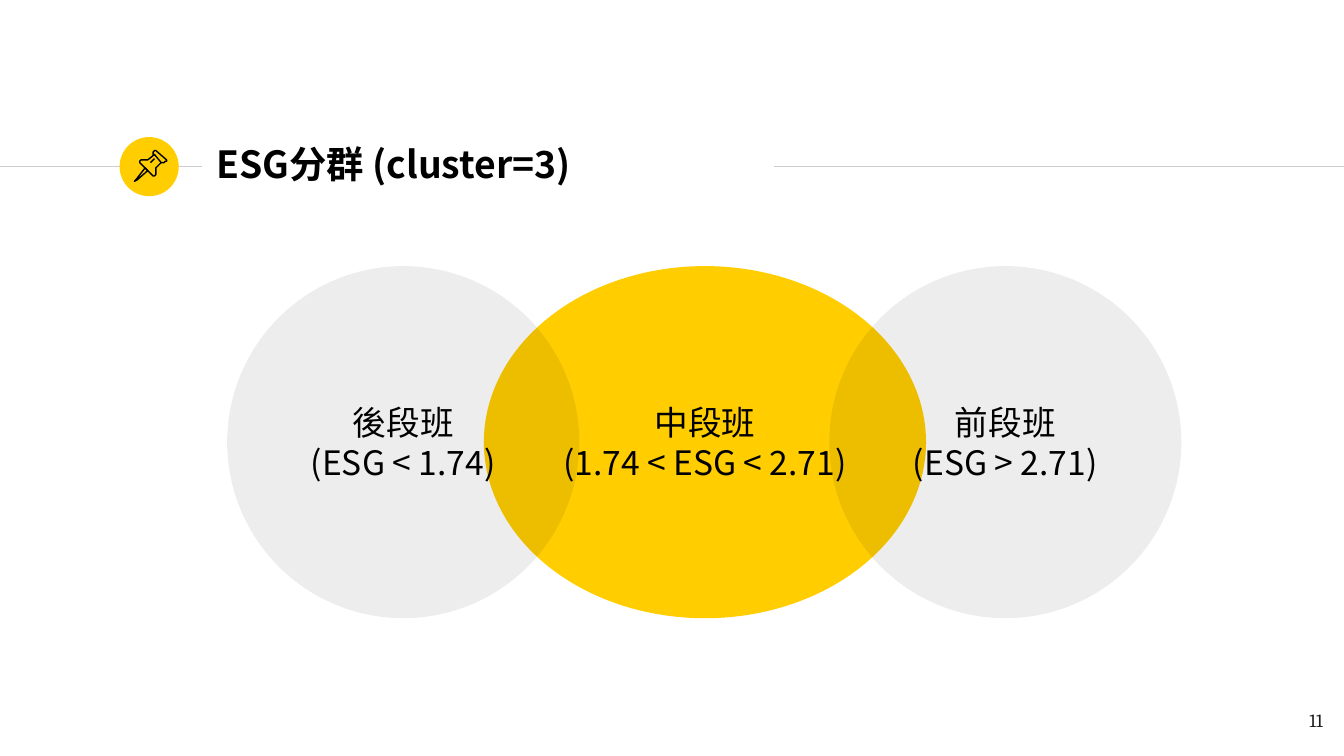
from dataclasses import dataclass

from lxml.etree import SubElement
from pptx import Presentation
from pptx.dml.color import RGBColor
from pptx.enum.shapes import MSO_CONNECTOR, MSO_SHAPE
from pptx.enum.text import MSO_ANCHOR as Anchor, PP_ALIGN as Align
from pptx.oxml.ns import qn
from pptx.util import Inches, Pt

CJK_FONT = "Noto Sans CJK TC"
YELLOW, BLACK, GREY = "FFCD00", "000000", "CCCCCC"
RULE_Y = 1.24
CLUSTER_TOP, CLUSTER_HEIGHT = 1.98, 2.62


@dataclass
class Cluster:
    name: str
    limits: str
    left: float
    width: float
    color: str
    opacity: int = 100


@dataclass
class Stroke:
    points: list[tuple[float, float]]
    closed: bool = False


CLUSTERS = [
    Cluster("中段班", "(1.74 < ESG < 2.71)", 3.6, 3.29, YELLOW),
    Cluster("後段班", "(ESG < 1.74)", 1.69, 2.62, BLACK, 7),
    Cluster("前段班", "(ESG > 2.71)", 6.17, 2.62, BLACK, 7),
]

PIN = [
    Stroke([(1.08, 1.25), (1.01, 1.34), (1, 1.35), (1.02, 1.34), (1.1, 1.27)], True),
    Stroke([(1.15, 1.15), (1.2, 1.21), (1.22, 1.21), (1.23, 1.2), (1.24, 1.2),
            (1.24, 1.19), (1.16, 1.12), (1.15, 1.12), (1.14, 1.13), (1.14, 1.15)], True),
    Stroke([(1.15, 1.15), (1.1, 1.19), (1.08, 1.19), (1.05, 1.19), (1.04, 1.2),
            (1.04, 1.21), (1.14, 1.31), (1.15, 1.31), (1.16, 1.3), (1.16, 1.25),
            (1.2, 1.21)]),
    Stroke([(1.12, 1.21), (1.15, 1.18)]),
]


def rgb(color: str) -> RGBColor:
    return RGBColor.from_string(color)


def write(shape, text: str, size: float, font: str = CJK_FONT, color: str = BLACK,
          bold: bool = False, align=Align.LEFT, anchor=Anchor.MIDDLE) -> None:
    frame = shape.text_frame
    frame.text = text
    frame.word_wrap = True
    frame.vertical_anchor = anchor
    frame.margin_left = frame.margin_right = Inches(0.1)
    frame.margin_top = frame.margin_bottom = Inches(0.1)
    for para in frame.paragraphs:
        para.alignment = align
        for span in para.runs:
            span.font.size = Pt(size)
            span.font.name = font
            span.font.bold = bold
            span.font.color.rgb = rgb(color)
            SubElement(span.font._element, qn("a:ea"), typeface=font)


def add_ellipse(page, left: float, top: float, width: float, height: float,
                color: str, opacity: int = 100):
    ellipse = page.shapes.add_shape(
        MSO_SHAPE.OVAL, Inches(left), Inches(top), Inches(width), Inches(height))
    ellipse.shadow.inherit = False
    ellipse.fill.solid()
    ellipse.fill.fore_color.rgb = rgb(color)
    ellipse.line.fill.background()
    if opacity < 100:
        tint = ellipse._element.spPr.find(qn("a:solidFill"))[0]
        SubElement(tint, qn("a:alpha"), val=str(opacity * 1000))
    return ellipse


def add_rule(page, start: float, end: float) -> None:
    rule = page.shapes.add_connector(
        MSO_CONNECTOR.STRAIGHT, Inches(start), Inches(RULE_Y), Inches(end), Inches(RULE_Y))
    rule.line.color.rgb = rgb(GREY)
    rule.line.width = Pt(0.75)
    SubElement(rule._element.spPr, qn("a:effectLst"))


def add_text(page, left: float, top: float, width: float, height: float,
             text: str, size: float, **style) -> None:
    box = page.shapes.add_textbox(Inches(left), Inches(top), Inches(width), Inches(height))
    write(box, text, size, **style)


def add_cluster(page, cluster: Cluster) -> None:
    ellipse = add_ellipse(page, cluster.left, CLUSTER_TOP, cluster.width, CLUSTER_HEIGHT,
                          cluster.color, cluster.opacity)
    write(ellipse, f"{cluster.name}\n{cluster.limits}", 18, align=Align.CENTER)


def add_pin(page) -> None:
    group = page.shapes.add_group_shape()
    for stroke in PIN:
        start, *rest = [(Inches(x), Inches(y)) for x, y in stroke.points]
        builder = group.shapes.build_freeform(*start)
        builder.add_line_segments(rest, close=stroke.closed)
        outline = builder.convert_to_shape()
        outline.shadow.inherit = False
        outline.fill.background()
        outline.line.color.rgb = rgb(BLACK)
        outline.line.width = Pt(0.75)


def main() -> None:
    deck = Presentation()
    deck.slide_width = Inches(10)
    deck.slide_height = Inches(10 * 9 / 16)
    page = deck.slides.add_slide(deck.slide_layouts[6])

    add_rule(page, 0, 1.5)
    add_ellipse(page, 0.89, 1.02, 0.44, 0.44, YELLOW)
    add_rule(page, 5.76, 10)
    add_text(page, 1.51, 0.98, 4.24, 0.48, "ESG分群 (cluster=3)", 20, bold=True)
    for cluster in CLUSTERS:
        add_cluster(page, cluster)
    add_pin(page)
    add_text(page, 9.34, 5.19, 0.6, 0.43, "11", 10, font="Cambria", color="1D1D1B",
             align=Align.RIGHT, anchor=Anchor.TOP)
    deck.save("out.pptx")


if __name__ == "__main__":
    main()
